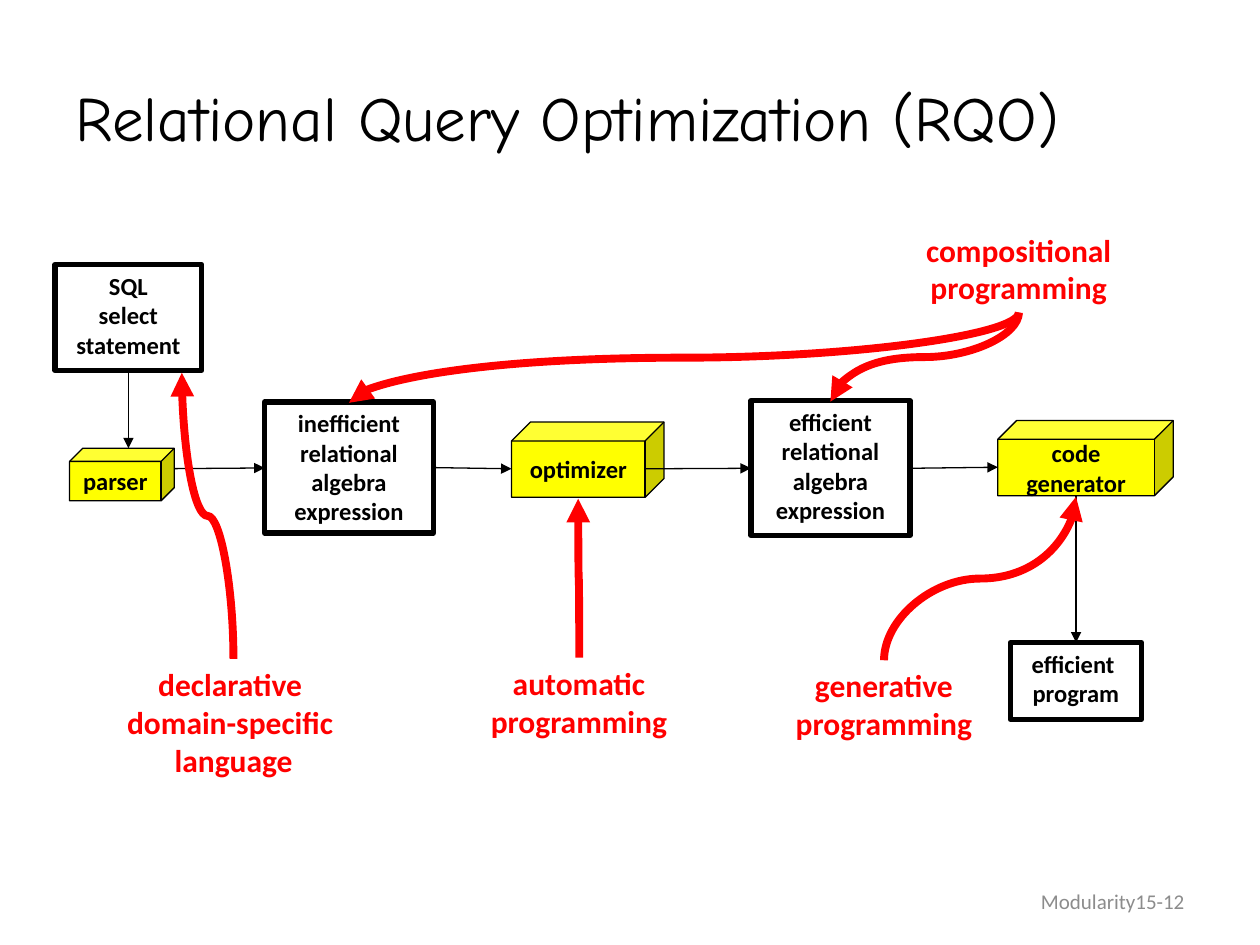
import lxml.etree
import pptx
import pptx.dml.color
import pptx.enum.shapes
import pptx.enum.text
import pptx.oxml.ns
import pptx.util

Pt = pptx.util.Pt
RGB = pptx.dml.color.RGBColor
Kind = pptx.enum.shapes.MSO_SHAPE
Link = pptx.enum.shapes.MSO_CONNECTOR
Align = pptx.enum.text.PP_ALIGN
Anchor = pptx.enum.text.MSO_ANCHOR
qn = pptx.oxml.ns.qn

theme = {
    "ink": RGB(0, 0, 0), "note": RGB(255, 0, 0), "step": RGB(255, 255, 0),
    "foot": RGB(140, 140, 140), "head": "Comic Neue", "body": "Calibri",
    "title": Pt(36), "large": Pt(18), "small": Pt(14), "tiny": Pt(12),
    "thin": Pt(0.75), "frame": Pt(3), "thick": Pt(4.5),
}


def write(shape, text, size, color, align=Align.CENTER, anchor=Anchor.MIDDLE,
          font=theme["body"], bold=True, wrap=False):
    """Set the text of a shape and format all of its runs."""
    frame = shape.text_frame
    frame.text = text
    frame.word_wrap = wrap
    frame.vertical_anchor = anchor
    for para in frame.paragraphs:
        para.alignment = align
        for run in para.runs:
            run.font.name = font
            run.font.size = size
            run.font.bold = bold
            run.font.color.rgb = color


def arrow(start, end, color, width, curved=False):
    """Draw an arrow; a curved one leaves and arrives vertically."""
    (x1, y1), (x2, y2) = start, end
    kind = Link.STRAIGHT
    if curved:
        # Lay the curve on its side about its middle, then turn it upright
        kind = Link.CURVE
        mx, my = (x1 + x2) / 2, (y1 + y2) / 2
        dx, dy = abs(y2 - y1) / 2, abs(x2 - x1) / 2
        if (x2 - x1) * (y2 - y1) > 0:
            dy = -dy
        turn = 90 if y2 > y1 else 270
        x1, y1, x2, y2 = mx - dx, my - dy, mx + dx, my + dy
    line = slide.shapes.add_connector(kind, Pt(x1), Pt(y1), Pt(x2), Pt(y2))
    line.line.color.rgb = color
    line.line.width = width
    prop = line._element.spPr
    if curved:
        prop.find(qn("a:xfrm")).set("rot", str(turn * 60000))
    lxml.etree.SubElement(prop.find(qn("a:ln")), qn("a:tailEnd"), type="triangle")
    lxml.etree.SubElement(prop, qn("a:effectLst"))


deck = pptx.Presentation()
deck.slide_width, deck.slide_height = Pt(720), Pt(540)
slide = deck.slides.add_slide(deck.slide_layouts[5])

# Title
title = slide.shapes.title
title.left, title.top, title.width, title.height = Pt(36), Pt(21.6), Pt(648), Pt(90)
write(title, "Relational Query Optimization (RQO)", theme["title"], theme["ink"],
      align=Align.LEFT, font=theme["head"], bold=False, wrap=True)

# Framed boxes hold data, yellow cubes are processing steps
nodes = [
    (Kind.RECTANGLE, "SQL\nselect\nstatement", 31.5, 151.2, 83.8, 60.5),
    (Kind.CUBE, "parser", 39.8, 256.2, 59.8, 30),
    (Kind.RECTANGLE, "inefficient\vrelational\nalgebra\nexpression", 151.2, 229.7, 96.5, 75),
    (Kind.CUBE, "optimizer", 292.3, 241.2, 87.1, 43),
    (Kind.RECTANGLE, "efficient\vrelational\nalgebra\nexpression", 429.1, 229, 90.9, 77),
    (Kind.CUBE, "code\vgenerator", 570.2, 240.3, 100.2, 43),
    (Kind.RECTANGLE, "efficient \nprogram", 577.4, 367.2, 74.9, 43.9),
]
for kind, text, x, y, w, h in nodes:
    node = slide.shapes.add_shape(kind, Pt(x), Pt(y), Pt(w), Pt(h))
    node.shadow.inherit = False
    node.line.color.rgb = theme["ink"]
    if kind == Kind.CUBE:
        node.fill.solid()
        node.fill.fore_color.rgb = theme["step"]
        node.line.width = theme["thin"]
        anchor = Anchor.MIDDLE
    else:
        node.fill.background()
        node.line.width = theme["frame"]
        anchor = Anchor.TOP
    write(node, text, theme["small"], theme["ink"], anchor=anchor)

# Flow from the statement to the program
flow = [
    ((73.4, 211.7), (73.4, 256.2)),
    ((99.6, 267.8), (151.2, 267.4)),
    ((247.7, 267.2), (292.3, 267.9)),
    ((368.6, 267.9), (429.1, 267.6)),
    ((520, 267.6), (570.2, 267)),
    ((614.9, 283.3), (614.9, 367.2)),
]
for start, end in flow:
    arrow(start, end, theme["ink"], theme["thin"])

# Red notes, each with the curves that start from it
notes = [
    ("declarative \ndomain-specific \nlanguage", 64.8, 376.6, 137.5, 72.7,
     (133.4, 376.6), [(103.9, 213.1)]),
    ("automatic\nprogramming", 272.9, 375.8, 115.9, 51.1,
     (331, 375.8), [(330.4, 285)]),
    ("generative\nprogramming", 434.9, 377.3, 140.4, 50.4,
     (505.2, 377.3), [(614.9, 283.9)]),
    ("compositional\nprogramming", 511.9, 128.2, 140.4, 50.4,
     (582.2, 178.6), [(199.4, 230.2), (474.5, 229.5)]),
]
for text, x, y, w, h, start, ends in notes:
    note = slide.shapes.add_textbox(Pt(x), Pt(y), Pt(w), Pt(h))
    write(note, text, theme["large"], theme["note"], anchor=Anchor.TOP)
    for end in ends:
        arrow(start, end, theme["note"], theme["thick"], curved=True)

# Footer
foot = slide.shapes.add_textbox(Pt(500.2), Pt(500.4), Pt(183.8), Pt(28.8))
write(foot, "Modularity15-12", theme["tiny"], theme["foot"],
      align=Align.RIGHT, bold=False, wrap=True)

deck.save("out.pptx")
